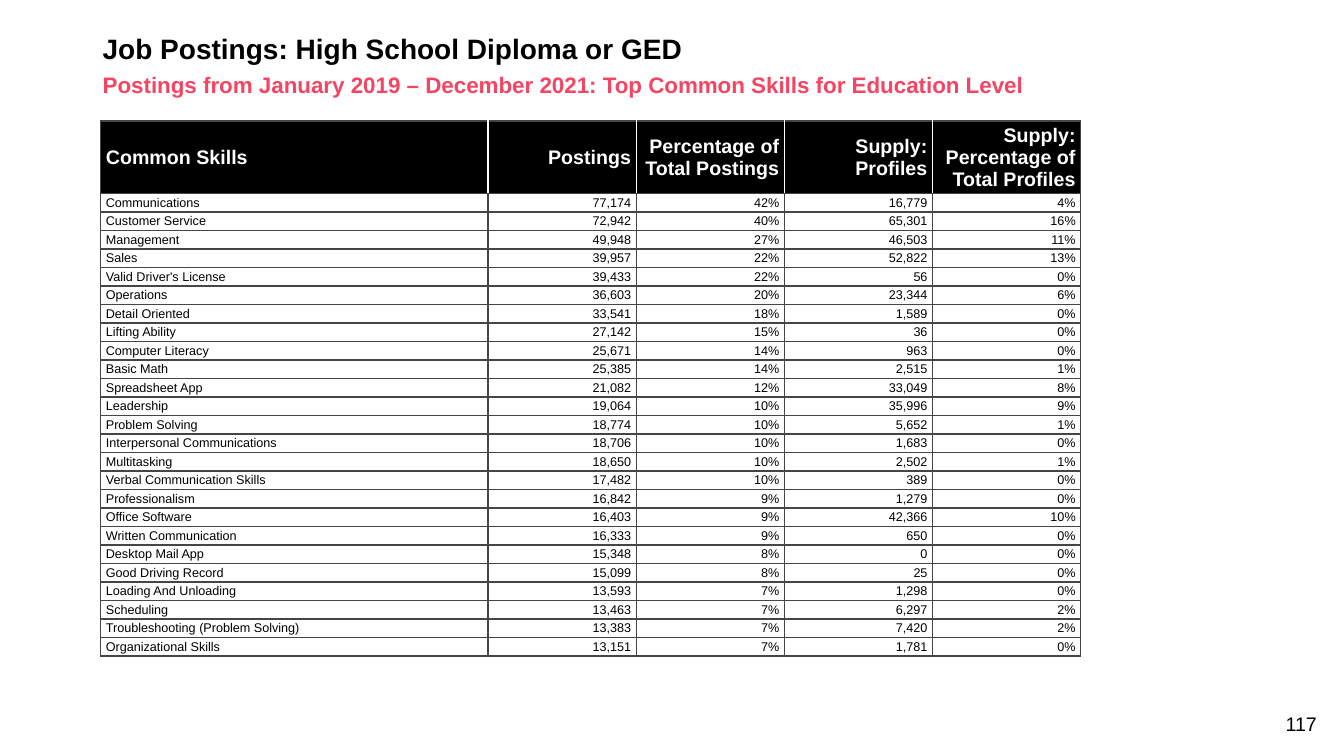
import pptx
import pptx.dml.color
import pptx.enum.text
import pptx.oxml
import pptx.oxml.ns
import pptx.util

Inches = pptx.util.Inches
Pt = pptx.util.Pt
ALIGN = pptx.enum.text.PP_ALIGN
ANCHOR = pptx.enum.text.MSO_ANCHOR

FONT = "Arial"
COLORS = {"black": "000000", "white": "FFFFFF", "accent": "F54562", "grid": "454545"}

COLUMN_WIDTHS = [3.84, 1.47, 1.47, 1.47, 1.47]
HEADER_HEIGHT = 0.67
BODY_HEIGHT = 4.59
HEADINGS = ("Common Skills", "Postings", "Percentage of Total Postings",
            "Supply: Profiles", "Supply: Percentage of Total Profiles")
SKILLS = [
    ("Communications", "77,174", "42%", "16,779", "4%"),
    ("Customer Service", "72,942", "40%", "65,301", "16%"),
    ("Management", "49,948", "27%", "46,503", "11%"),
    ("Sales", "39,957", "22%", "52,822", "13%"),
    ("Valid Driver's License", "39,433", "22%", "56", "0%"),
    ("Operations", "36,603", "20%", "23,344", "6%"),
    ("Detail Oriented", "33,541", "18%", "1,589", "0%"),
    ("Lifting Ability", "27,142", "15%", "36", "0%"),
    ("Computer Literacy", "25,671", "14%", "963", "0%"),
    ("Basic Math", "25,385", "14%", "2,515", "1%"),
    ("Spreadsheet App", "21,082", "12%", "33,049", "8%"),
    ("Leadership", "19,064", "10%", "35,996", "9%"),
    ("Problem Solving", "18,774", "10%", "5,652", "1%"),
    ("Interpersonal Communications", "18,706", "10%", "1,683", "0%"),
    ("Multitasking", "18,650", "10%", "2,502", "1%"),
    ("Verbal Communication Skills", "17,482", "10%", "389", "0%"),
    ("Professionalism", "16,842", "9%", "1,279", "0%"),
    ("Office Software", "16,403", "9%", "42,366", "10%"),
    ("Written Communication", "16,333", "9%", "650", "0%"),
    ("Desktop Mail App", "15,348", "8%", "0", "0%"),
    ("Good Driving Record", "15,099", "8%", "25", "0%"),
    ("Loading And Unloading", "13,593", "7%", "1,298", "0%"),
    ("Scheduling", "13,463", "7%", "6,297", "2%"),
    ("Troubleshooting (Problem Solving)", "13,383", "7%", "7,420", "2%"),
    ("Organizational Skills", "13,151", "7%", "1,781", "0%"),
]


def rgb(name):
    return pptx.dml.color.RGBColor.from_string(COLORS[name])


def write(para, text, size, color, bold=False, align=ALIGN.LEFT):
    para.alignment = align
    span = para.add_run()
    span.text = text
    span.font.name = FONT
    span.font.size = Pt(size)
    span.font.bold = bold
    span.font.color.rgb = rgb(color)


def add_text(page, place, text, size, color, bold=False, align=ALIGN.LEFT,
             anchor=ANCHOR.MIDDLE, spacing=None):
    box = page.shapes.add_textbox(*map(Inches, place))
    frame = box.text_frame
    frame.word_wrap = True
    frame.vertical_anchor = anchor
    para = frame.paragraphs[0]
    para.line_spacing = spacing
    write(para, text, size, color, bold, align)


def set_borders(cell, left, right):
    """Draw 1 pt cell borders; the fill must be set afterwards to keep XML order."""
    properties = cell._tc.get_or_add_tcPr()
    sides = {"lnL": left, "lnR": right, "lnT": "grid", "lnB": "grid"}
    for tag, color in sides.items():
        properties.append(pptx.oxml.parse_xml(
            f'<a:{tag} {pptx.oxml.ns.nsdecls("a")} w="{Pt(1)}"><a:solidFill>'
            f'<a:srgbClr val="{COLORS[color]}"/></a:solidFill></a:{tag}>'))


def fill_cell(cell, text, column, is_header):
    last = len(COLUMN_WIDTHS) - 1
    divider = "white" if is_header else "grid"
    set_borders(cell, "grid" if column == 0 else divider,
                "grid" if column == last else divider)
    cell.fill.solid()
    cell.fill.fore_color.rgb = rgb("black" if is_header else "white")
    cell.margin_left = cell.margin_right = Inches(0.05)
    cell.margin_top = cell.margin_bottom = Inches(0.01)
    cell.vertical_anchor = ANCHOR.MIDDLE
    write(cell.text_frame.paragraphs[0], text, 14 if is_header else 9,
          "white" if is_header else "black", is_header,
          ALIGN.RIGHT if column else ALIGN.LEFT)


def add_skills_table(page):
    records = [HEADINGS] + SKILLS
    table = page.shapes.add_table(
        len(records), len(COLUMN_WIDTHS), Inches(1), Inches(1.2),
        Inches(sum(COLUMN_WIDTHS)), Inches(HEADER_HEIGHT + BODY_HEIGHT)).table
    table.horz_banding = False
    for column, width in zip(table.columns, COLUMN_WIDTHS):
        column.width = Inches(width)
    for index, record in enumerate(records):
        is_header = index == 0
        table.rows[index].height = Inches(
            HEADER_HEIGHT if is_header else BODY_HEIGHT / len(SKILLS))
        for column, text in enumerate(record):
            fill_cell(table.cell(index, column), text, column, is_header)


def main():
    deck = pptx.Presentation()
    deck.slide_width = Inches(13.33)
    deck.slide_height = Inches(7.5)
    page = deck.slides.add_slide(deck.slide_layouts[6])
    add_text(page, (12.36, 7.01, 0.8, 0.34), "117", 14, "black",
             align=ALIGN.RIGHT, anchor=ANCHOR.BOTTOM)
    add_text(page, (0.92, 0.3, 11.5, 0.4), "Job Postings: High School Diploma or GED",
             20, "black", bold=True, spacing=0.9)
    add_text(page, (0.92, 0.71, 11.5, 0.3),
             "Postings from January 2019 – December 2021: "
             "Top Common Skills for Education Level",
             16, "accent", bold=True, spacing=0.9)
    add_skills_table(page)
    deck.save("out.pptx")


if __name__ == "__main__":
    main()
